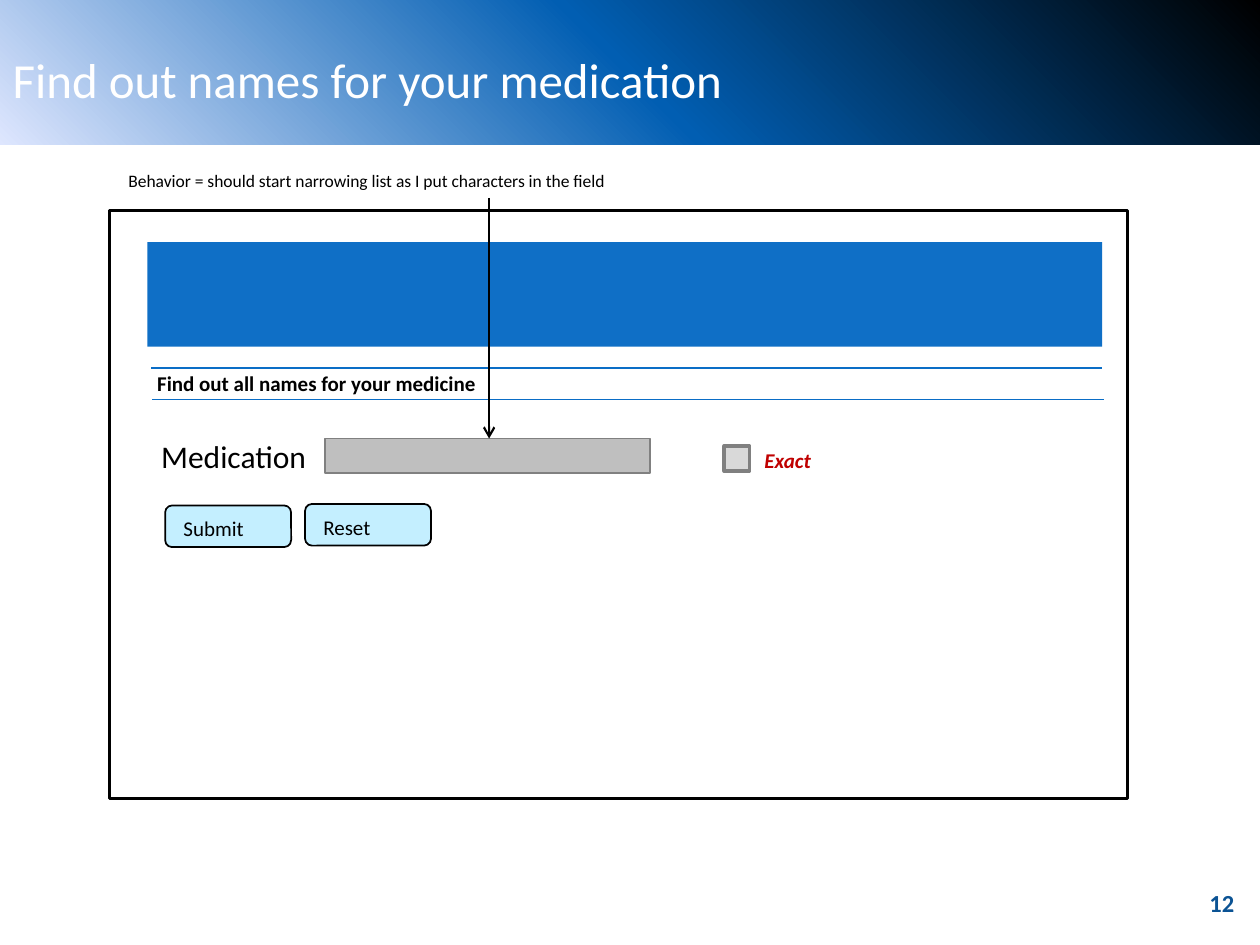
import copy
from typing import NamedTuple, Optional

import pptx
import pptx.dml.color
import pptx.enum.shapes
import pptx.enum.text
import pptx.oxml
import pptx.oxml.ns
import pptx.util

Cm = pptx.util.Cm
Pt = pptx.util.Pt
RGBColor = pptx.dml.color.RGBColor
Kind = pptx.enum.shapes.MSO_SHAPE
qn = pptx.oxml.ns.qn

BLACK = RGBColor(0x00, 0x00, 0x00)
WHITE = RGBColor(0xFF, 0xFF, 0xFF)
NAVY = RGBColor(0x0B, 0x53, 0x94)
COBALT = RGBColor(0x01, 0x5E, 0xB2)
PALE = RGBColor(0xDE, 0xE6, 0xFE)
BLUE = RGBColor(0x0F, 0x6F, 0xC6)
RULE = RGBColor(0x0A, 0x6D, 0xC6)
SKY = RGBColor(0xC4, 0xEF, 0xFF)
SILVER = RGBColor(0xBF, 0xBF, 0xBF)
LIGHT = RGBColor(0xD9, 0xD9, 0xD9)
GREY = RGBColor(0x80, 0x80, 0x80)
RED = RGBColor(0xC0, 0x00, 0x00)
FONT = "Calibri"


class Box(NamedTuple):
    left: float
    top: float
    width: float
    height: float
    fill: Optional[RGBColor] = None
    edge: Optional[RGBColor] = None
    weight: float = 1
    kind: int = Kind.RECTANGLE


class Label(NamedTuple):
    text: str
    left: float
    top: float
    width: float
    height: float
    size: float = 12
    color: RGBColor = BLACK
    bold: bool = False
    slant: bool = False


class Line(NamedTuple):
    x1: float
    y1: float
    x2: float
    y2: float
    color: RGBColor = RULE
    weight: float = 0.75
    arrow: bool = False


def style(frame, size: float, color: RGBColor, bold=False, slant=False) -> None:
    for run in frame.paragraphs[0].runs:
        font = run.font
        font.name, font.size = FONT, Pt(size)
        font.bold, font.italic = bold, slant
        font.color.rgb = color


def draw_box(slide, box: Box):
    shape = slide.shapes.add_shape(box.kind, *map(Cm, box[:4]))
    shape.shadow.inherit = False
    if box.fill is None:
        shape.fill.background()
    else:
        shape.fill.solid()
        shape.fill.fore_color.rgb = box.fill
    if box.edge is None:
        shape.line.fill.background()
    else:
        shape.line.color.rgb = box.edge
        shape.line.width = Pt(box.weight)
    return shape


def draw_label(slide, label: Label) -> None:
    frame = slide.shapes.add_textbox(*map(Cm, label[1:5])).text_frame
    frame.word_wrap = False
    frame.text = label.text
    style(frame, *label[5:])


def draw_line(slide, line: Line) -> None:
    shape = slide.shapes.add_connector(
        pptx.enum.shapes.MSO_CONNECTOR.STRAIGHT, *map(Cm, line[:4]))
    shape.line.color.rgb = line.color
    shape.line.width = Pt(line.weight)
    if line.arrow:
        tail = pptx.oxml.parse_xml(
            f'<a:tailEnd {pptx.oxml.ns.nsdecls("a")} type="arrow"/>')
        shape.line._get_or_add_ln().append(tail)
    shape._element.spPr.append(pptx.oxml.parse_xml(
        f'<a:effectLst {pptx.oxml.ns.nsdecls("a")}/>'))


def draw_head(slide) -> None:
    head = draw_box(slide, Box(0, 0, 25.4, 2.92))
    head.fill.gradient()
    head.fill.gradient_angle = 225
    stops = head._element.find(".//" + qn("a:gsLst"))
    stops.insert(1, copy.deepcopy(stops[0]))
    colors = (BLACK, COBALT, PALE)
    for stop, color, place in zip(head.fill.gradient_stops, colors, (0, 0.5, 1)):
        stop.color.rgb = color
        stop.position = place
    # Send the band behind the title
    slide.shapes._spTree.insert(2, head._element)


def draw_title(slide) -> None:
    title = slide.shapes.title
    title.left, title.top, title.width, title.height = map(
        Cm, (0, 0.43, 22.86, 2.34))
    frame = title.text_frame
    frame.text = "Find out names for your medication"
    frame.vertical_anchor = pptx.enum.text.MSO_ANCHOR.MIDDLE
    frame.paragraphs[0].alignment = pptx.enum.text.PP_ALIGN.LEFT
    style(frame, 28, WHITE)


def main() -> None:
    deck = pptx.Presentation()
    deck.slide_width, deck.slide_height = Cm(25.4), Cm(19.05)
    slide = deck.slides.add_slide(deck.slide_layouts[5])

    # Header and page number
    draw_head(slide)
    draw_label(slide, Label("12", 24.13, 17.78, 1.27, 1.27, 14, NAVY, True))
    draw_title(slide)

    # Form frame, search field and note
    draw_box(slide, Box(2.21, 4.24, 20.52, 11.86, edge=BLACK, weight=1.5))
    draw_label(slide, Label("Medication", 3, 8.69, 3.48, 1.02, 18))
    draw_box(slide, Box(6.55, 8.84, 6.55, 0.69, SILVER, GREY))
    draw_label(slide, Label(
        "Behavior = should start narrowing list as I put characters in the field",
        2.34, 3.3, 10.26, 0.69, 10))

    # Banner and ruled heading
    draw_box(slide, Box(2.97, 4.88, 19.25, 2.11, BLUE))
    draw_line(slide, Line(3.05, 7.42, 22.22, 7.42))
    draw_line(slide, Line(3.07, 8.05, 22.25, 8.05))
    draw_label(slide, Label("Find out all names for your medicine",
                            2.92, 7.34, 7.06, 0.76, bold=True))

    # Arrow from the note to the field
    draw_line(slide, Line(9.86, 3.99, 9.86, 8.84, BLACK, 1.25, True))

    # Exact match box
    draw_box(slide, Box(14.6, 8.99, 0.51, 0.51, LIGHT, GREY, 2))
    draw_label(slide, Label("Exact", 15.16, 8.89, 1.47, 0.76,
                            color=RED, bold=True, slant=True))

    # Buttons
    for text, left, top, width in (("Submit", 3.33, 10.19, 1.73),
                                   ("Reset", 6.15, 10.16, 1.47)):
        draw_box(slide, Box(left, top, 2.54, 0.84, SKY, BLACK,
                            kind=Kind.ROUNDED_RECTANGLE))
        draw_label(slide, Label(text, left + 0.12, top + 0.08, width, 0.76))

    deck.save("out.pptx")


if __name__ == "__main__":
    main()
